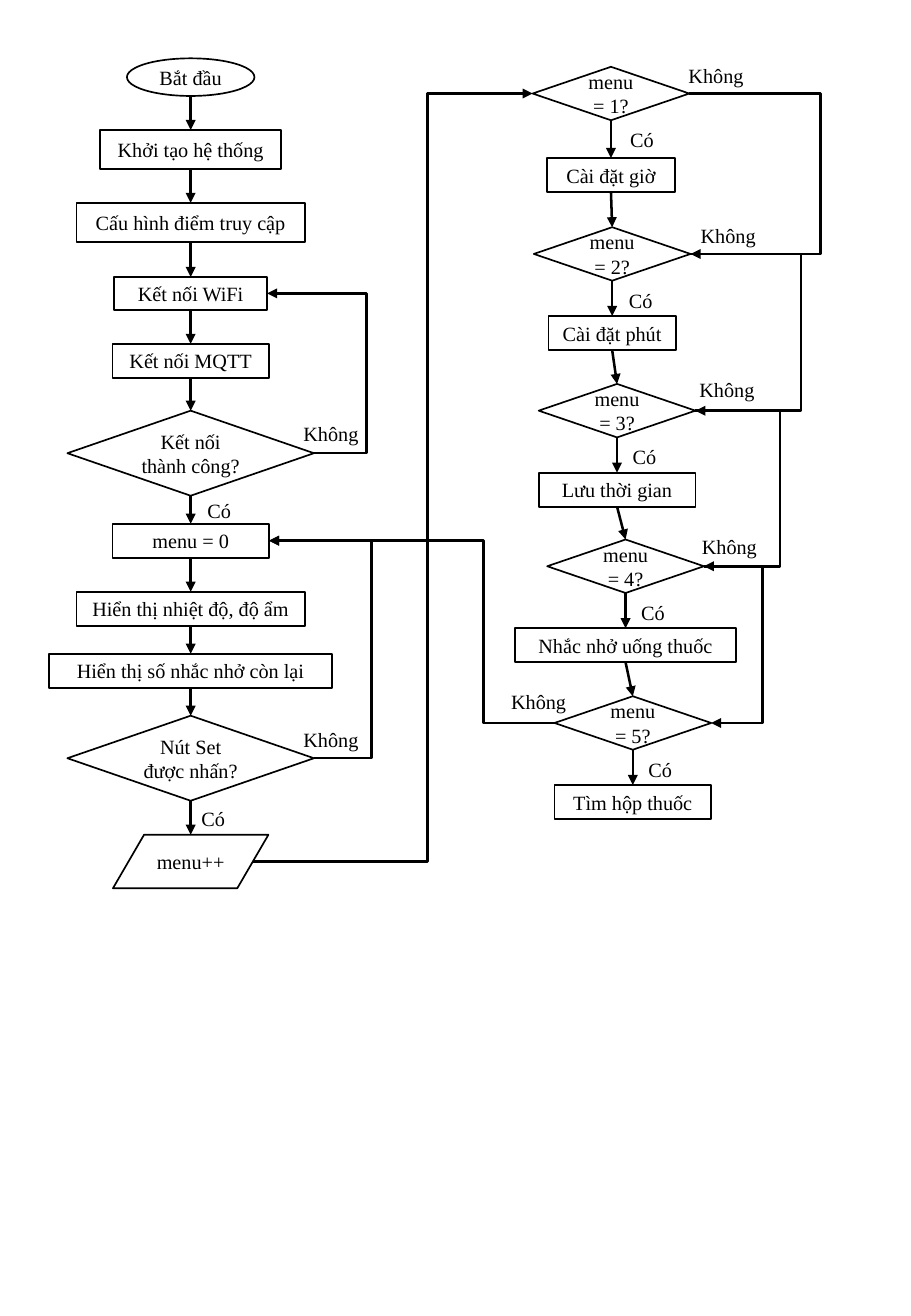
"""Build the flowchart of a medicine reminder device on one portrait slide."""
from lxml.etree import SubElement
from pptx import Presentation
from pptx.dml.color import RGBColor
from pptx.enum.shapes import MSO_CONNECTOR, MSO_SHAPE
from pptx.enum.text import MSO_ANCHOR, PP_ALIGN
from pptx.oxml.ns import qn
from pptx.util import Emu, Pt

PX = 9144
SLIDE_SIZE = (750, 1083)
COLORS = {"ink": "000000"}
FONT = "Times New Roman"
TEXT_MARGIN = 9
LABEL_HEIGHT = 30

KINDS = {
    "start": MSO_SHAPE.OVAL,
    "step": MSO_SHAPE.RECTANGLE,
    "decision": MSO_SHAPE.FLOWCHART_DECISION,
    "data": MSO_SHAPE.FLOWCHART_DATA,
}
SIDES = {"top": (0.5, 0), "left": (0, 0.5), "bottom": (0.5, 1), "right": (1, 0.5)}
SITES = {"top": 0, "left": 1, "bottom": 2, "right": 3}
SPECIAL_SITES = {("start", "bottom"): 4, ("data", "top"): 1, ("data", "right"): 5}
SPECIAL_SIDES = {("data", "right"): (0.9, 0.5)}

# Each node: kind, text, centre x, top, width, height
MAIN_FLOW = [
    ("start", "Bắt đầu", 157, 48, 105, 31),
    ("step", "Khởi tạo hệ thống", 157, 107, 149, 32),
    ("step", "Cấu hình điểm truy cập", 157, 167, 188, 32),
    ("step", "Kết nối WiFi", 157, 228, 126, 27),
    ("step", "Kết nối MQTT", 157, 283, 129, 28),
    ("decision", "Kết nối thành công?", 157, 338, 203, 70),
    ("step", "menu = 0", 157, 431, 129, 28),
    ("step", "Hiển thị nhiệt độ, độ ẩm", 157, 487, 188, 28),
    ("step", "Hiển thị số nhắc nhở còn lại", 157, 538, 233, 28),
    ("decision", "Nút Set được nhấn?", 157, 589, 203, 70),
    ("data", "menu++", 157, 687, 128, 44),
]
MENU_FLOW = [
    ("decision", "menu = 1?", 503, 55, 129, 44),
    ("step", "Cài đặt giờ", 503, 130, 105, 28),
    ("decision", "menu = 2?", 504, 187, 129, 44),
    ("step", "Cài đặt phút", 504, 260, 105, 28),
    ("decision", "menu = 3?", 508, 316, 129, 44),
    ("step", "Lưu thời gian", 508, 389, 129, 28),
    ("decision", "menu = 4?", 515, 444, 129, 44),
    ("step", "Nhắc nhở uống thuốc", 515, 517, 182, 28),
    ("decision", "menu = 5?", 521, 573, 129, 44),
    ("step", "Tìm hộp thuốc", 521, 646, 129, 28),
]
BRANCHES = [
    ("Kết nối thành công?", "right", "Kết nối WiFi", "right", 302),
    ("Nút Set được nhấn?", "right", "menu = 0", "right", 306),
    ("menu++", "right", "menu = 1?", "left", 352),
    ("menu = 1?", "right", "menu = 2?", "right", 677),
    ("menu = 2?", "right", "menu = 3?", "right", 659),
    ("menu = 3?", "right", "menu = 4?", "right", 642),
    ("menu = 4?", "right", "menu = 5?", "right", 628),
    ("menu = 5?", "left", "menu = 0", "right", 398),
]
ANSWERS = {
    "Có": (42, [(161, 405), (156, 659), (509, 100), (508, 232),
                (511, 361), (518, 489), (524, 618)]),
    "Không": (70, [(240, 342), (240, 594), (557, 47), (567, 179),
                   (566, 306), (568, 435), (411, 562)]),
}


def px(length):
    return Emu(round(length * PX))


def ink():
    return RGBColor.from_string(COLORS["ink"])


def write(shape, text, size=12, align=PP_ALIGN.LEFT, anchor=MSO_ANCHOR.TOP, margin=10):
    frame = shape.text_frame
    frame.word_wrap = True
    frame.vertical_anchor = anchor
    frame.margin_left = frame.margin_right = px(margin)
    paragraph = frame.paragraphs[0]
    paragraph.alignment = align
    run = paragraph.add_run()
    run.text = text
    run.font.name = FONT
    run.font.size = Pt(size)
    run.font.color.rgb = ink()


def add_node(slide, node):
    kind, text, centre, top, width, height = node
    shape = slide.shapes.add_shape(
        KINDS[kind], px(centre - width / 2), px(top), px(width), px(height))
    shape.shadow.inherit = False
    shape.fill.background()
    shape.line.color.rgb = ink()
    shape.line.width = Pt(1)
    write(shape, text, align=PP_ALIGN.CENTER, anchor=MSO_ANCHOR.MIDDLE, margin=TEXT_MARGIN)
    return kind, shape


def side_point(node, side):
    kind, shape = node
    across, down = SPECIAL_SIDES.get((kind, side), SIDES[side])
    return (round(shape.left + across * shape.width),
            round(shape.top + down * shape.height))


def add_arrow(slide, start, start_side, end, end_side, bend=None):
    begin_x, begin_y = side_point(start, start_side)
    end_x, end_y = side_point(end, end_side)
    style = MSO_CONNECTOR.STRAIGHT if bend is None else MSO_CONNECTOR.ELBOW
    connector = slide.shapes.add_connector(style, begin_x, begin_y, end_x, end_y)
    connector.line.color.rgb = ink()
    connector.line.width = Pt(1.5)
    element = connector._element
    SubElement(connector.line._get_or_add_ln(), qn("a:tailEnd"), type="triangle")
    SubElement(element.spPr, qn("a:effectLst"))
    joints = element.find(".//" + qn("p:cNvCxnSpPr"))
    for tag, (kind, shape), side in (("a:stCxn", start, start_side),
                                     ("a:endCxn", end, end_side)):
        site = SPECIAL_SITES.get((kind, side), SITES[side])
        SubElement(joints, qn(tag), id=str(shape.shape_id), idx=str(site))
    if bend is not None:
        ratio = round((px(bend) - begin_x) / (end_x - begin_x) * 100000)
        guides = element.spPr.find(qn("a:prstGeom")).get_or_add_avLst()
        SubElement(guides, qn("a:gd"), name="adj1", fmla=f"val {ratio}")


def main():
    presentation = Presentation()
    presentation.slide_width, presentation.slide_height = map(px, SLIDE_SIZE)
    slide = presentation.slides.add_slide(presentation.slide_layouts[6])
    nodes = {}
    for flow in (MAIN_FLOW, MENU_FLOW):
        for node in flow:
            nodes[node[1]] = add_node(slide, node)
        for upper, lower in zip(flow, flow[1:]):
            add_arrow(slide, nodes[upper[1]], "bottom", nodes[lower[1]], "top")
    for start, start_side, end, end_side, bend in BRANCHES:
        add_arrow(slide, nodes[start], start_side, nodes[end], end_side, bend)
    for answer, (width, places) in ANSWERS.items():
        for left, top in places:
            label = slide.shapes.add_textbox(px(left), px(top), px(width), px(LABEL_HEIGHT))
            write(label, answer)
    presentation.save("out.pptx")


if __name__ == "__main__":
    main()
